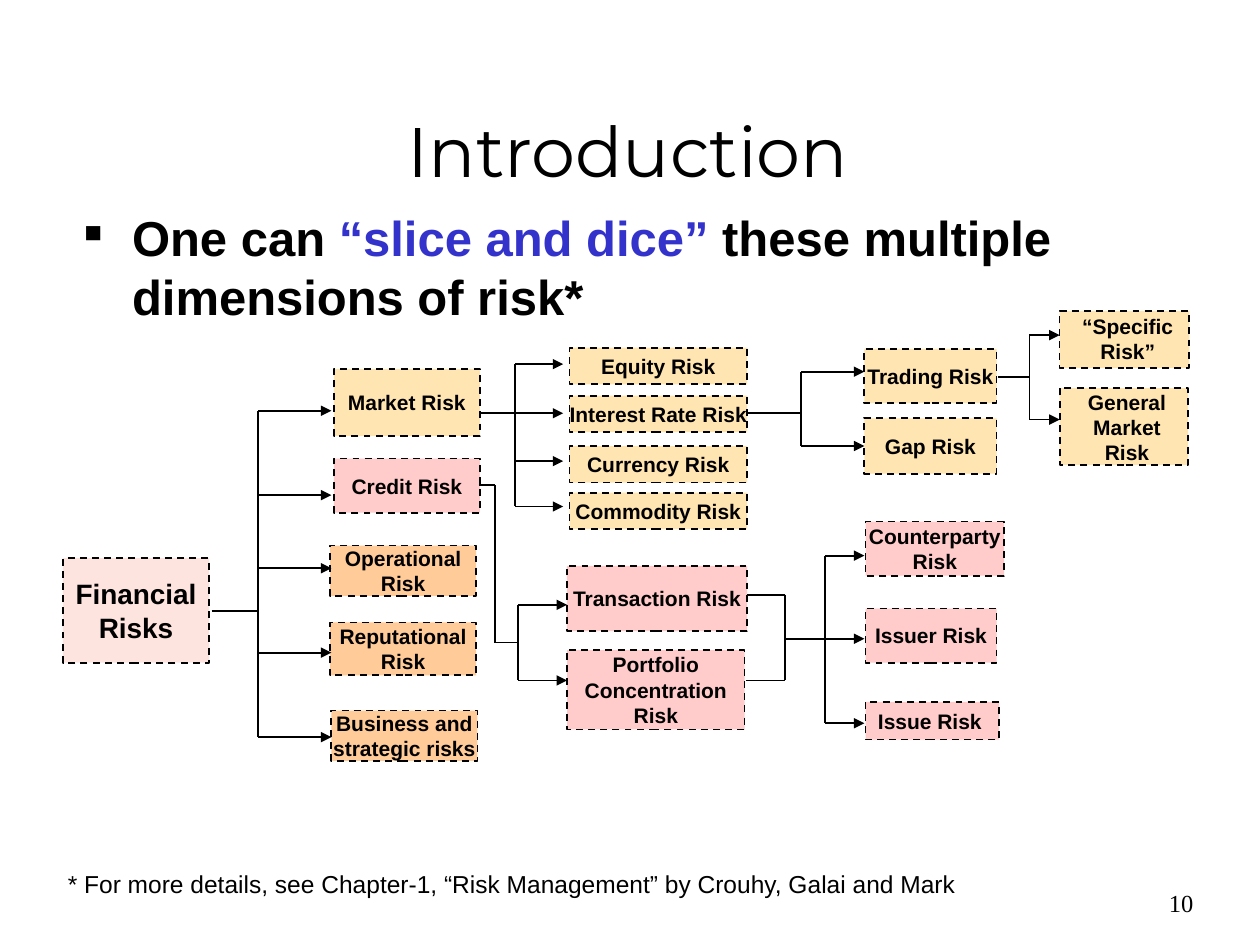
from typing import NamedTuple

from lxml import etree
from pptx import Presentation
from pptx.dml.color import RGBColor
from pptx.enum.dml import MSO_LINE
from pptx.enum.shapes import MSO_CONNECTOR, MSO_SHAPE
from pptx.enum.text import MSO_ANCHOR, PP_ALIGN
from pptx.oxml.ns import qn
from pptx.util import Inches, Pt

COLORS = {
    "black": "000000",
    "accent": "3333CC",
    "root": "FECAC0",
    "market": "FFCC66",
    "credit": "FF9999",
    "other": "FF9933",
}


class RiskBox(NamedTuple):
    label: str
    left: float
    top: float
    width: float
    height: float
    color: str
    size: int = 12
    align: PP_ALIGN = PP_ALIGN.CENTER


class Caption(NamedTuple):
    text: str
    left: float
    top: float
    width: float
    height: float
    size: int
    font: str = "Arial"
    bold: bool = False
    align: PP_ALIGN = PP_ALIGN.LEFT
    anchor: MSO_ANCHOR = MSO_ANCHOR.TOP


class Fork(NamedTuple):
    """A stem that meets a vertical trunk, with one arrow per branch height."""
    stem_x: float
    stem_y: float
    trunk_x: float
    tip_x: float
    branches: tuple


RISK_BOXES = [
    RiskBox("Financial\nRisks", 0.5, 4.43, 1.16, 0.83, "root", 16),
    # Risk categories
    RiskBox("Market Risk", 2.65, 2.93, 1.16, 0.53, "market"),
    RiskBox("Credit Risk", 2.65, 3.64, 1.16, 0.43, "credit"),
    RiskBox("Operational\nRisk", 2.62, 4.33, 1.16, 0.4, "other"),
    RiskBox("Reputational\nRisk", 2.62, 4.94, 1.16, 0.42, "other"),
    RiskBox("Business and\nstrategic risks", 2.63, 5.64, 1.16, 0.4, "other"),
    # Market risk
    RiskBox("Equity Risk", 4.52, 2.76, 1.41, 0.29, "market"),
    RiskBox("Interest Rate Risk", 4.52, 3.14, 1.41, 0.29, "market"),
    RiskBox("Currency Risk", 4.52, 3.54, 1.41, 0.29, "market"),
    RiskBox("Commodity Risk", 4.52, 3.91, 1.41, 0.29, "market"),
    RiskBox("Trading Risk", 6.86, 2.77, 1.05, 0.43, "market"),
    RiskBox("Gap Risk", 6.86, 3.32, 1.05, 0.44, "market"),
    RiskBox("", 8.41, 2.47, 1.03, 0.45, "market"),
    RiskBox("", 8.41, 3.08, 1.02, 0.61, "market"),
    # Credit risk
    RiskBox("Transaction Risk", 4.5, 4.49, 1.43, 0.52, "credit"),
    RiskBox("Portfolio\nConcentration\vRisk", 4.5, 5.16, 1.41, 0.63, "credit"),
    RiskBox("Counterparty\nRisk", 6.87, 4.14, 1.1, 0.43, "credit"),
    RiskBox("Issuer Risk", 6.87, 4.83, 1.04, 0.43, "credit"),
    RiskBox("Issue Risk", 6.87, 5.57, 1.06, 0.3, "credit", align=PP_ALIGN.LEFT),
]

FORKS = [
    Fork(1.68, 4.85, 2.05, 2.63, (3.26, 3.93, 4.51, 5.18, 5.85)),
    Fork(3.81, 3.28, 4.09, 4.47, (2.89, 3.28, 3.66, 4.02)),
    Fork(5.92, 3.28, 6.36, 6.86, (2.95, 3.54)),
    Fork(7.92, 2.99, 8.17, 8.41, (2.66, 3.33)),
    Fork(3.93, 5.1, 4.11, 4.5, (4.8, 5.4)),
    Fork(6.23, 5.07, 6.55, 6.86, (4.41, 5.07, 5.74)),
]

# Plain lines: credit risk elbow, then the bracket joining its two parts
JOINS = [
    (3.8, 3.85, 3.93, 3.85),
    (3.93, 3.85, 3.93, 5.1),
    (5.93, 4.72, 6.23, 4.72),
    (5.92, 5.4, 6.23, 5.4),
    (6.23, 4.72, 6.23, 5.4),
]

CAPTIONS = [
    Caption("Introduction", 0.4, 0.65, 9.17, 1.08, 40, "Montserrat",
            align=PP_ALIGN.CENTER, anchor=MSO_ANCHOR.MIDDLE),
    Caption("“Specific\vRisk”", 8.49, 2.44, 0.92, 0.5, 12, bold=True,
            align=PP_ALIGN.CENTER),
    Caption("General\vMarket\nRisk", 8.48, 3.04, 0.93, 0.7, 12, bold=True,
            align=PP_ALIGN.CENTER),
    Caption("* For more details, see Chapter-1, “Risk Management” by Crouhy, "
            "Galai and Mark", 0.44, 6.85, 8.73, 0.34, 14),
    Caption("10", 7.49, 7, 2.08, 0.5, 14, "Times New Roman",
            align=PP_ALIGN.RIGHT),
]

STATEMENT = [("One can ", "black"), ("“slice and dice”", "accent"),
             (" these multiple dimensions of risk*", "black")]


def rgb(name: str) -> RGBColor:
    return RGBColor.from_string(COLORS[name])


def style_font(font, size: int, name: str, bold: bool, color: str = "black") -> None:
    font.size, font.name, font.bold = Pt(size), name, bold
    font.color.rgb = rgb(color)


def style_text(frame, size: int, name: str, bold: bool, align: PP_ALIGN) -> None:
    for paragraph in frame.paragraphs:
        paragraph.alignment = align
        for run in paragraph.runs:
            style_font(run.font, size, name, bold)


def draw_risk_box(slide, box: RiskBox) -> None:
    rect = slide.shapes.add_shape(
        MSO_SHAPE.RECTANGLE, *map(Inches, (box.left, box.top, box.width, box.height)))
    rect.shadow.inherit = False
    rect.fill.solid()
    rect.fill.fore_color.rgb = rgb(box.color)
    fill_color = rect._element.spPr.find(qn("a:solidFill")).find(qn("a:srgbClr"))
    etree.SubElement(fill_color, qn("a:alpha"), val="50000")
    rect.line.color.rgb = rgb("black")
    rect.line.width = Pt(1)
    rect.line.dash_style = MSO_LINE.DASH
    frame = rect.text_frame
    frame.word_wrap = False
    frame.vertical_anchor = MSO_ANCHOR.MIDDLE
    frame.text = box.label
    style_text(frame, box.size, "Arial", True, box.align)


def draw_line(slide, x1: float, y1: float, x2: float, y2: float,
              arrow: bool = False) -> None:
    line = slide.shapes.add_connector(
        MSO_CONNECTOR.STRAIGHT, *map(Inches, (x1, y1, x2, y2)))
    line.line.color.rgb = rgb("black")
    line.line.width = Pt(1)
    properties = line._element.spPr
    if arrow:
        etree.SubElement(properties.find(qn("a:ln")), qn("a:tailEnd"), type="triangle")
    etree.SubElement(properties, qn("a:effectLst"))


def draw_fork(slide, fork: Fork) -> None:
    draw_line(slide, fork.stem_x, fork.stem_y, fork.trunk_x, fork.stem_y)
    draw_line(slide, fork.trunk_x, min(fork.branches),
              fork.trunk_x, max(fork.branches))
    for y in fork.branches:
        draw_line(slide, fork.trunk_x, y, fork.tip_x, y, arrow=True)


def add_frame(slide, left: float, top: float, width: float, height: float):
    frame = slide.shapes.add_textbox(
        *map(Inches, (left, top, width, height))).text_frame
    frame.word_wrap = True
    return frame


def draw_caption(slide, caption: Caption) -> None:
    frame = add_frame(slide, caption.left, caption.top, caption.width, caption.height)
    frame.vertical_anchor = caption.anchor
    frame.text = caption.text
    style_text(frame, caption.size, caption.font, caption.bold, caption.align)


def draw_statement(slide) -> None:
    paragraph = add_frame(slide, 0.57, 1.6, 8.59, 1.17).paragraphs[0]
    bullet = paragraph._p.get_or_add_pPr()
    bullet.set("marL", str(Inches(0.38)))
    bullet.set("indent", str(-Inches(0.38)))
    bullet_color = etree.SubElement(bullet, qn("a:buClr"))
    etree.SubElement(bullet_color, qn("a:srgbClr"), val=COLORS["black"])
    etree.SubElement(bullet, qn("a:buSzPct"), val="50000")
    etree.SubElement(bullet, qn("a:buChar"), char="■")
    for text, color in STATEMENT:
        run = paragraph.add_run()
        run.text = text
        style_font(run.font, 28, "Arial", True, color)


def main() -> None:
    deck = Presentation()
    deck.slide_width, deck.slide_height = Inches(10), Inches(7.5)
    slide = deck.slides.add_slide(deck.slide_layouts[6])

    draw_statement(slide)
    # Risk tree
    for box in RISK_BOXES:
        draw_risk_box(slide, box)
    for fork in FORKS:
        draw_fork(slide, fork)
    for join in JOINS:
        draw_line(slide, *join)
    # Title, loose labels, footnote and page number
    for caption in CAPTIONS:
        draw_caption(slide, caption)
    deck.save("out.pptx")


if __name__ == "__main__":
    main()
